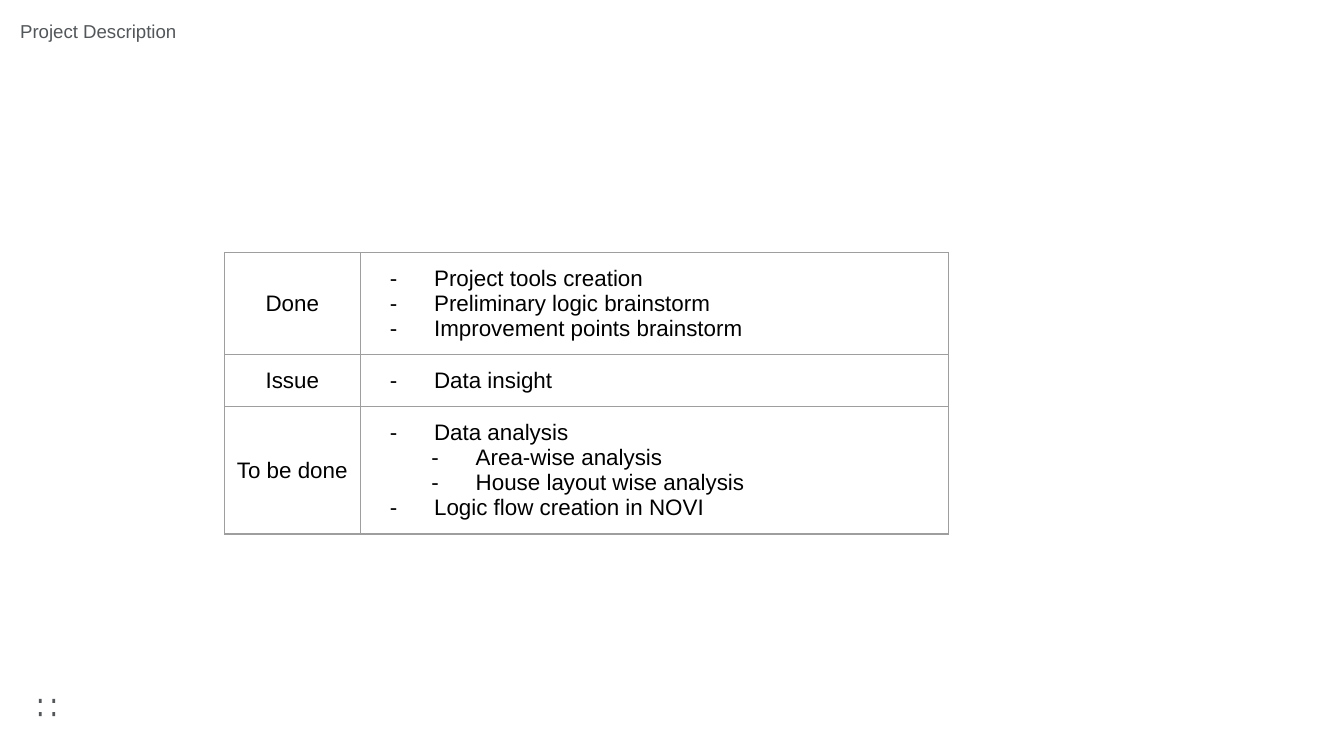
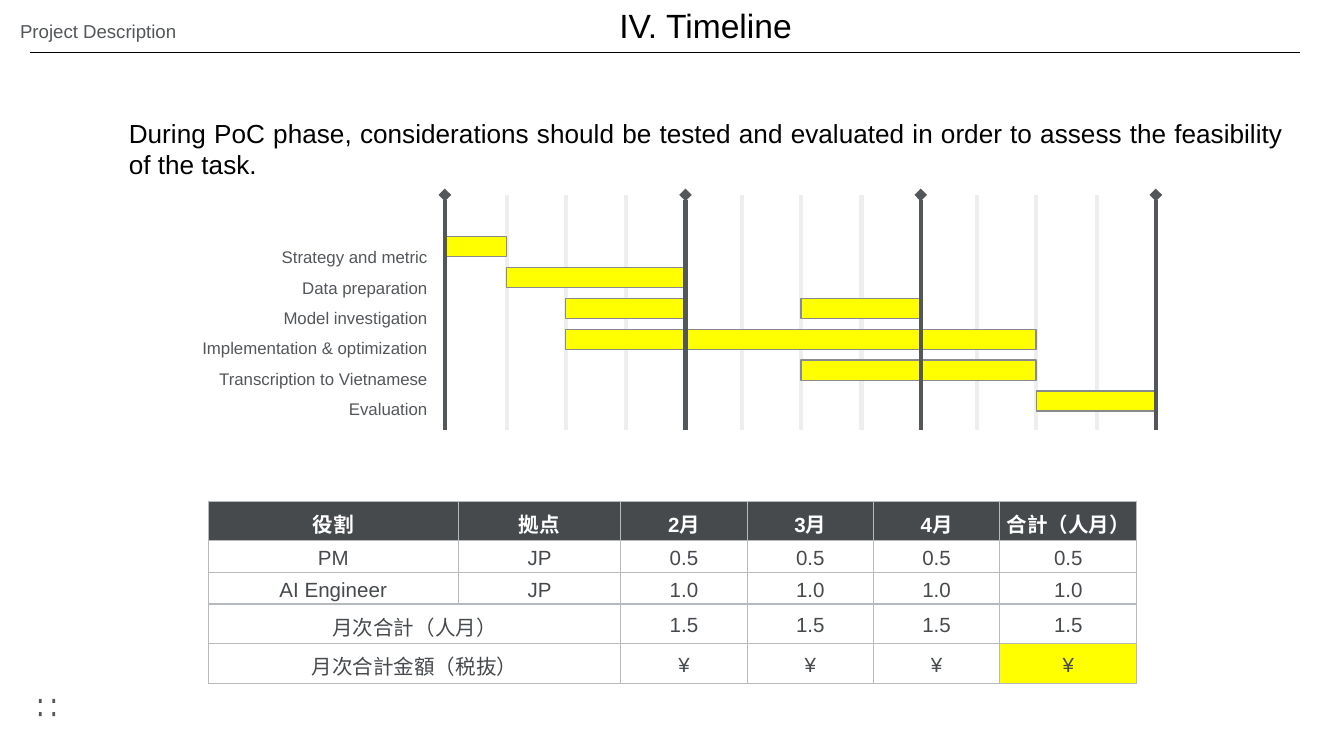
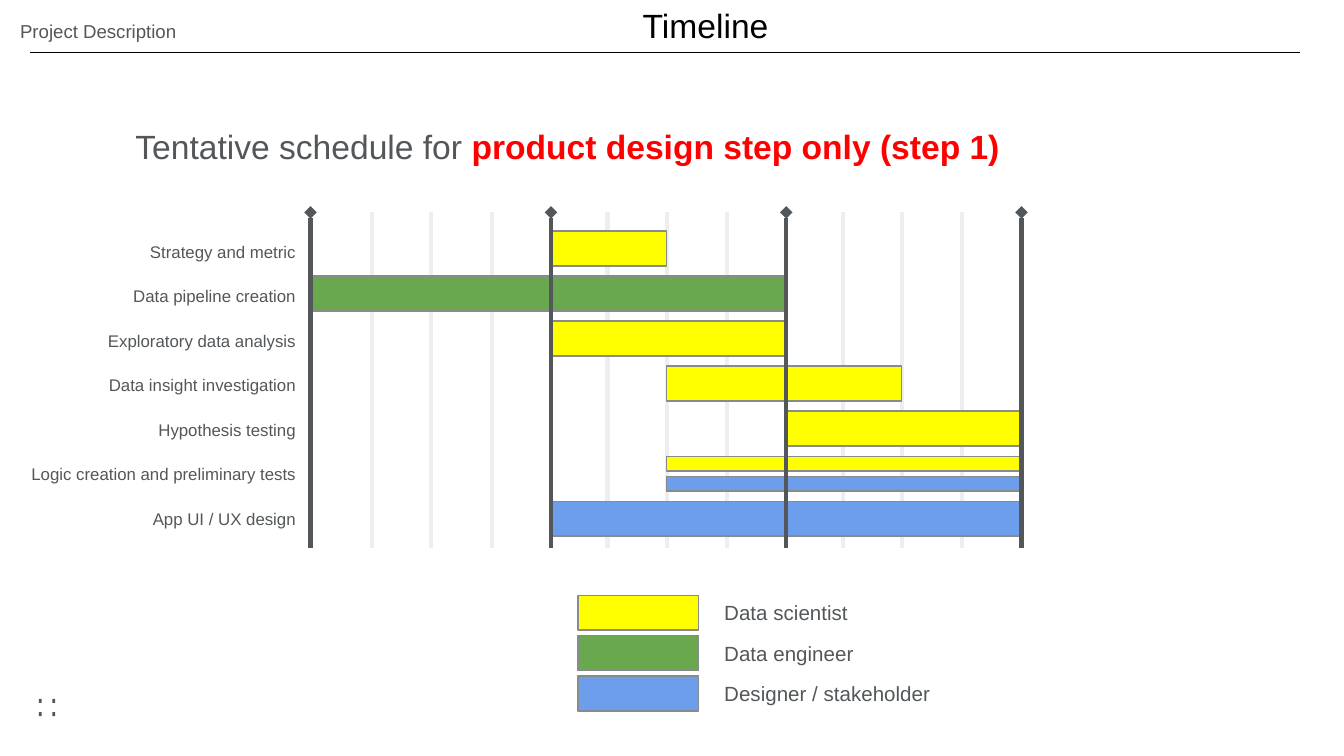
from dataclasses import dataclass

import pptx
import pptx.dml.color
import pptx.enum.shapes
import pptx.enum.text
import pptx.oxml.ns
import pptx.presentation
import pptx.slide
import pptx.table
import pptx.text.text
import pptx.util
from lxml import etree

Inches = pptx.util.Inches
Pt = pptx.util.Pt
Align = pptx.enum.text.PP_ALIGN
Anchor = pptx.enum.text.MSO_ANCHOR
qn = pptx.oxml.ns.qn

FONT = "Arial"
BLACK, WHITE, RED = "000000", "FFFFFF", "FF0000"
GRAY, DARK, OUTLINE, GRID = "53575A", "464A4D", "888B8D", "EEEEEE"
YELLOW, GREEN, BLUE = "FFFF00", "6AA84F", "6D9EEB"

# Week boundaries from the start of a schedule; every fourth one opens a month
WEEK_X = (0, 0.46, 0.9, 1.35, 1.79, 2.21, 2.65, 3.1, 3.54, 3.96, 4.4, 4.85, 5.29)
WEEKS_PER_MONTH = 4


@dataclass(frozen=True)
class Area:
    left: float
    top: float
    width: float
    height: float

    def emu(self) -> list[int]:
        return [Inches(v) for v in (self.left, self.top, self.width, self.height)]


@dataclass(frozen=True)
class Style:
    size: float
    color: str = GRAY
    align: Align = Align.LEFT
    bold: bool = False
    line_spacing: float | None = None
    space_between: float = 0


@dataclass(frozen=True)
class Item:
    """One dash-bulleted line of a table cell."""
    text: str
    indent: float = 0.5


@dataclass(frozen=True)
class Bar:
    row: int
    start_week: int
    end_week: int
    color: str = YELLOW
    height: float | None = None
    drop: float = 0


@dataclass(frozen=True)
class Schedule:
    left: float
    top: float
    bottom: float
    first_row: float
    last_row: float
    bar_height: float
    tasks: list[str]
    bars: list[Bar]
    labels: Area
    label_style: Style


KICKER = Style(10)
TITLE = Style(18, BLACK, Align.CENTER)
KICKER_AREA = Area(0.15, 0.15, 2.07, 0.08)
TITLE_AREA = Area(0, 0, 10, 0.37)


def rgb(color: str) -> pptx.dml.color.RGBColor:
    return pptx.dml.color.RGBColor.from_string(color)


def style_para(para: pptx.text.text._Paragraph, style: Style) -> None:
    para.alignment = style.align
    if style.line_spacing:
        para.line_spacing = style.line_spacing
    font = para.font
    font.name, font.size, font.bold = FONT, Pt(style.size), style.bold
    font.color.rgb = rgb(style.color)


def write(frame: pptx.text.text.TextFrame, lines: list[str], style: Style,
          inset: float = 0.1, anchor: Anchor = Anchor.TOP) -> None:
    frame.word_wrap = True
    frame.auto_size = pptx.enum.text.MSO_AUTO_SIZE.NONE
    frame.vertical_anchor = anchor
    frame.margin_left = frame.margin_right = Inches(inset)
    frame.margin_top = frame.margin_bottom = Inches(inset)
    for index, line in enumerate(lines):
        para = frame.add_paragraph() if index else frame.paragraphs[0]
        para.text = line
        if index and style.space_between:
            para.space_before = Pt(style.space_between)
        style_para(para, style)


def add_text(page: pptx.slide.Slide, area: Area, lines: list[str], style: Style,
             inset: float = 0.1, anchor: Anchor = Anchor.TOP) -> pptx.text.text.TextFrame:
    frame = page.shapes.add_textbox(*area.emu()).text_frame
    write(frame, lines, style, inset, anchor)
    return frame


def add_rectangle(shapes, area: Area, fill: str, outline: str | None = None) -> None:
    box = shapes.add_shape(pptx.enum.shapes.MSO_SHAPE.RECTANGLE, *area.emu())
    box.shadow.inherit = False
    box.fill.solid()
    box.fill.fore_color.rgb = rgb(fill)
    if outline:
        box.line.color.rgb = rgb(outline)
        box.line.width = Pt(0.75)
    else:
        box.line.fill.background()


def add_line(page: pptx.slide.Slide, start: tuple[float, float], end: tuple[float, float],
             color: str, width: float, diamond: bool = False) -> None:
    line = page.shapes.add_connector(pptx.enum.shapes.MSO_CONNECTOR.STRAIGHT,
                                     *(Inches(v) for v in (*start, *end)))
    line.line.color.rgb = rgb(color)
    line.line.width = Pt(width)
    properties = line.element.spPr
    if diamond:
        etree.SubElement(properties.find(qn("a:ln")), qn("a:headEnd"), type="diamond")
    etree.SubElement(properties, qn("a:effectLst"))


def add_page(deck: pptx.presentation.Presentation, title: str | None = None) -> pptx.slide.Slide:
    """Add a slide with its corner dots and heading; without a title the kicker is the title."""
    page = deck.slides.add_slide(deck.slide_layouts[5])
    dots = page.shapes.add_group_shape().shapes
    for top in (5.2, 5.3):
        for left in (0.29, 0.39):
            add_rectangle(dots, Area(left, top, 0.02, 0.03), GRAY)

    heading = page.shapes.title
    area = TITLE_AREA if title else KICKER_AREA
    heading.left, heading.top, heading.width, heading.height = area.emu()
    if title:
        add_text(page, KICKER_AREA, ["Project Description"], KICKER, inset=0)
        write(heading.text_frame, [title], TITLE, anchor=Anchor.MIDDLE)
        heading.text_frame.paragraphs[0]._p.get_or_add_pPr().set("marL", str(Inches(0.5)))
        add_line(page, (0.22, 0.39), (9.67, 0.39), BLACK, 0.75)
    else:
        write(heading.text_frame, ["Project Description"], KICKER, inset=0)
    return page


def add_plain_table(page: pptx.slide.Slide, left: float, top: float, columns: list[float],
                    rows: list[float]) -> pptx.table.Table:
    area = Area(left, top, sum(columns), sum(rows))
    table = page.shapes.add_table(len(rows), len(columns), *area.emu()).table
    table.first_row = table.horz_banding = False
    for column, width in zip(table.columns, columns):
        column.width = Inches(width)
    for row, height in zip(table.rows, rows):
        row.height = Inches(height)
    return table


def format_cell(cell: pptx.table._Cell, border: str, inset: tuple[float, float],
                fill: str | None = None) -> None:
    cell.vertical_anchor = Anchor.MIDDLE
    cell.margin_left = cell.margin_right = Inches(inset[0])
    cell.margin_top = cell.margin_bottom = Inches(inset[1])
    if fill:
        cell.fill.solid()
        cell.fill.fore_color.rgb = rgb(fill)
    else:
        cell.fill.background()
    properties = cell._tc.get_or_add_tcPr()
    for index, side in enumerate(("lnL", "lnR", "lnT", "lnB")):
        line = etree.Element(qn(f"a:{side}"), w=str(Pt(0.75)))
        solid = etree.SubElement(line, qn("a:solidFill"))
        etree.SubElement(solid, qn("a:srgbClr"), val=border)
        properties.insert(index, line)


def add_dash(para: pptx.text.text._Paragraph, indent: float) -> None:
    properties = para._p.get_or_add_pPr()
    properties.set("marL", str(Inches(indent)))
    properties.set("indent", str(Inches(-0.33)))
    color = etree.SubElement(properties, qn("a:buClr"))
    etree.SubElement(color, qn("a:srgbClr"), val=BLACK)
    etree.SubElement(properties, qn("a:buFont"), typeface=FONT)
    etree.SubElement(properties, qn("a:buChar"), char="-")


def add_schedule(page: pptx.slide.Slide, plan: Schedule) -> None:
    def week_line(week: int, color: str, diamond: bool) -> None:
        x = plan.left + WEEK_X[week]
        add_line(page, (x, plan.top), (x, plan.bottom), color, 2.25, diamond)

    months = range(0, len(WEEK_X), WEEKS_PER_MONTH)
    for week in range(len(WEEK_X)):
        if week not in months:
            week_line(week, GRID, diamond=False)
    add_text(page, plan.labels, plan.tasks, plan.label_style, 0, Anchor.MIDDLE)
    pitch = (plan.last_row - plan.first_row) / (len(plan.tasks) - 1)
    for bar in plan.bars:
        start, end = WEEK_X[bar.start_week], WEEK_X[bar.end_week]
        area = Area(plan.left + start, plan.first_row + bar.row * pitch + bar.drop,
                    end - start, bar.height or plan.bar_height)
        add_rectangle(page.shapes, area, bar.color, OUTLINE)
    for week in months:
        week_line(week, GRAY, diamond=True)


def build_status(deck: pptx.presentation.Presentation) -> None:
    page = add_page(deck)
    status = [
        ("Done", [Item("Project tools creation"), Item("Preliminary logic brainstorm"),
                  Item("Improvement points brainstorm")]),
        ("Issue", [Item("Data insight")]),
        ("To be done", [Item("Data analysis"), Item("Area-wise analysis", 0.81),
                        Item("House layout wise analysis", 0.81),
                        Item("Logic flow creation in NOVI")]),
    ]
    table = add_plain_table(page, 1.67, 1.88, [1.01, 2.19, 2.19], [0.21, 0.21, 0.41])
    for row, (state, items) in enumerate(status):
        table.cell(row, 1).merge(table.cell(row, 2))
        for column in range(3):
            format_cell(table.cell(row, column), "9E9E9E", (0.05, 0.1))
        label = table.cell(row, 0).text_frame.paragraphs[0]
        label.text = state
        style_para(label, Style(12, BLACK, Align.CENTER))
        frame = table.cell(row, 1).text_frame
        for index, item in enumerate(items):
            para = frame.add_paragraph() if index else frame.paragraphs[0]
            para.text = item.text
            add_dash(para, item.indent)
            style_para(para, Style(12, BLACK))


def add_staffing(page: pptx.slide.Slide) -> None:
    staffing = [
        ["役割", "拠点", "2月", "3月", "4月", "合計（人月）"],
        ["PM", "JP"] + ["0.5"] * 4,
        ["AI Engineer", "JP"] + ["1.0"] * 4,
        ["月次合計（人月）", ""] + ["1.5"] * 4,
        ["月次合計金額（税抜）", ""] + ["¥"] * 4,
    ]
    table = add_plain_table(page, 1.55, 3.73, [1.86, 1.21, 0.94, 0.94, 0.94, 1.02],
                            [0.23] * len(staffing))
    header = Style(11, WHITE, Align.CENTER, bold=True, line_spacing=1.15)
    body = Style(11, DARK, Align.CENTER, line_spacing=1.15)
    grand_total = (len(staffing) - 1, len(staffing[0]) - 1)
    for row, values in enumerate(staffing):
        if not values[1]:
            table.cell(row, 0).merge(table.cell(row, 1))
        for column, value in enumerate(values):
            cell = table.cell(row, column)
            fill = YELLOW if (row, column) == grand_total else WHITE if row else DARK
            format_cell(cell, "B6BABD", (0.03, 0.02), fill)
            if value:
                para = cell.text_frame.paragraphs[0]
                para.text = value
                style_para(para, body if row else header)


def build_poc_timeline(deck: pptx.presentation.Presentation) -> None:
    page = add_page(deck, "IV. Timeline")
    add_schedule(page, Schedule(
        left=3.31, top=1.45, bottom=3.2, first_row=1.76, last_row=2.91, bar_height=0.15,
        tasks=["Strategy and metric", "Data preparation", "Model investigation",
               "Implementation & optimization", "Transcription to Vietnamese", "Evaluation"],
        bars=[Bar(0, 0, 1), Bar(1, 1, 4), Bar(2, 2, 4), Bar(2, 6, 8), Bar(3, 2, 10),
              Bar(4, 6, 10), Bar(5, 10, 12)],
        labels=Area(0.18, 1.33, 3, 2.22),
        label_style=Style(9, align=Align.RIGHT, line_spacing=1.5)))
    add_staffing(page)
    add_text(page, Area(0.86, 0.77, 8.79, 0.95),
             ["During PoC phase, considerations should be tested and evaluated in order to "
              "assess the feasibility of the task."], Style(14, BLACK, Align.JUSTIFY))


def build_design_timeline(deck: pptx.presentation.Presentation) -> None:
    page = add_page(deck, "Timeline")
    add_schedule(page, Schedule(
        left=2.31, top=1.58, bottom=4.08, first_row=1.72, last_row=3.73, bar_height=0.26,
        tasks=["Strategy and metric", "Data pipeline creation", "Exploratory data analysis",
               "Data insight investigation", "Hypothesis testing",
               "Logic creation and preliminary tests", "App UI / UX design"],
        bars=[Bar(0, 4, 6), Bar(1, 0, 8, GREEN), Bar(2, 4, 8), Bar(3, 6, 10), Bar(4, 8, 12),
              Bar(5, 6, 12, height=0.11), Bar(5, 6, 12, BLUE, height=0.11, drop=0.15),
              Bar(6, 4, 12, BLUE)],
        labels=Area(0.2, 1.64, 2, 2.45),
        label_style=Style(9, align=Align.RIGHT, space_between=13)))

    frame = add_text(page, Area(0.91, 0.84, 8.74, 0.35), ["Tentative schedule for "], Style(18))
    span = frame.paragraphs[0].add_run()
    span.text = "product design step only (step 1)"
    span.font.bold = True
    span.font.color.rgb = rgb(RED)

    legend = [("Data scientist", YELLOW), ("Data engineer", GREEN),
              ("Designer / stakeholder", BLUE)]
    for index, (role, color) in enumerate(legend):
        top = 4.43 + 0.3 * index
        add_rectangle(page.shapes, Area(4.3, top, 0.9, 0.26), color, OUTLINE)
        add_text(page, Area(5.29, top, 2.11, 0.26), [role], Style(11), anchor=Anchor.MIDDLE)


def main() -> None:
    deck = pptx.Presentation()
    deck.slide_width = Inches(10)
    deck.slide_height = deck.slide_width * 9 // 16
    build_status(deck)
    build_poc_timeline(deck)
    build_design_timeline(deck)
    deck.save("out.pptx")


if __name__ == "__main__":
    main()
